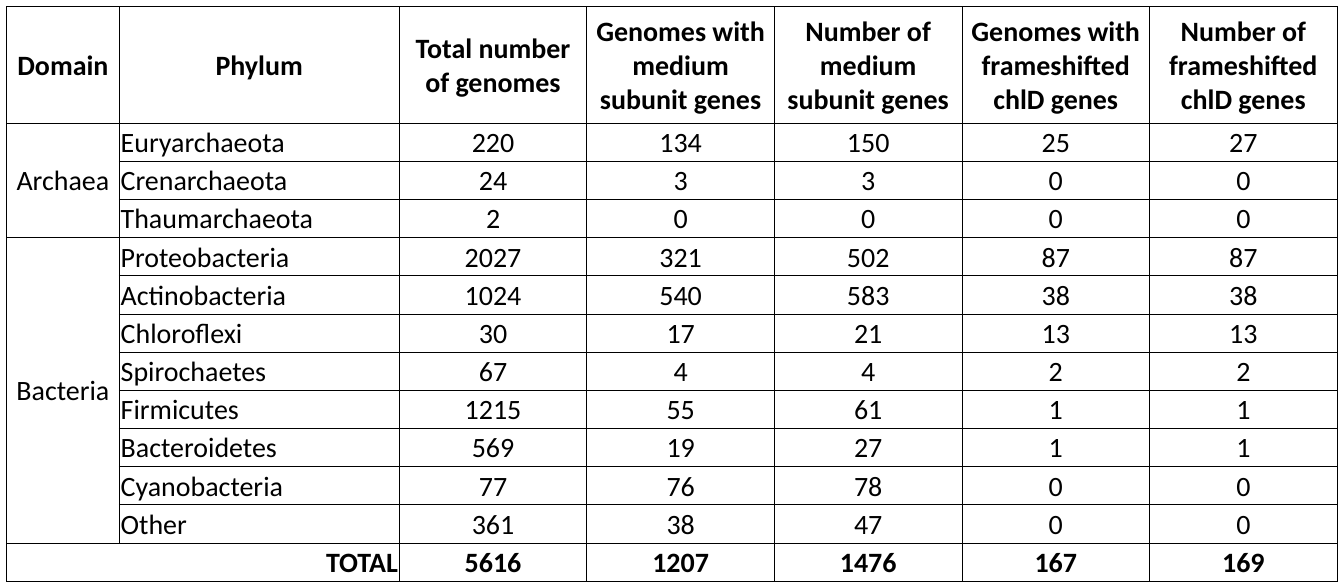
from lxml.etree import SubElement
from pptx import Presentation
from pptx.dml.color import RGBColor
from pptx.enum.text import MSO_ANCHOR, PP_ALIGN
from pptx.oxml.ns import qn
from pptx.util import Pt

BLACK = "000000"
HEADERS = [
    "Domain", "Phylum", "Total number of genomes",
    "Genomes with medium subunit genes", "Number of medium subunit genes",
    "Genomes with frameshifted chlD genes", "Number of frameshifted chlD genes",
]
DOMAINS = {
    "Archaea": [
        ("Euryarchaeota", 220, 134, 150, 25, 27),
        ("Crenarchaeota", 24, 3, 3, 0, 0),
        ("Thaumarchaeota", 2, 0, 0, 0, 0),
    ],
    "Bacteria": [
        ("Proteobacteria", 2027, 321, 502, 87, 87),
        ("Actinobacteria", 1024, 540, 583, 38, 38),
        ("Chloroflexi", 30, 17, 21, 13, 13),
        ("Spirochaetes", 67, 4, 4, 2, 2),
        ("Firmicutes", 1215, 55, 61, 1, 1),
        ("Bacteroidetes", 569, 19, 27, 1, 1),
        ("Cyanobacteria", 77, 76, 78, 0, 0),
        ("Other", 361, 38, 47, 0, 0),
    ],
}
TOTALS = ["TOTAL", "", 5616, 1207, 1476, 167, 169]
COLUMN_WIDTHS = [48.3, 120] + [80.4] * 5
ROW_HEIGHTS = [50] + [16.38] * 12


def color(hex_string):
    return RGBColor.from_string(hex_string)


def add_borders(cell, hex_string, width):
    properties = cell._tc.get_or_add_tcPr()
    for side in ("a:lnL", "a:lnR", "a:lnT", "a:lnB"):
        line = SubElement(properties, qn(side), w=str(Pt(width)))
        fill = SubElement(line, qn("a:solidFill"))
        SubElement(fill, qn("a:srgbClr"), val=hex_string)


presentation = Presentation()
presentation.slide_width, presentation.slide_height = Pt(576), Pt(252)
slide = presentation.slides.add_slide(presentation.slide_layouts[6])

# Rows of the table, with each domain named once
rows = [HEADERS]
for domain, phyla in DOMAINS.items():
    for index, phylum in enumerate(phyla):
        rows.append(["" if index else domain, *phylum])
rows.append(TOTALS)
last_row = len(rows) - 1

# Table grid
table = slide.shapes.add_table(
    len(rows), len(HEADERS), Pt(2.85), Pt(2.85),
    Pt(sum(COLUMN_WIDTHS)), Pt(sum(ROW_HEIGHTS)),
).table
table.horz_banding = False
for column, width in zip(table.columns, COLUMN_WIDTHS):
    column.width = Pt(width)
for row, height in zip(table.rows, ROW_HEIGHTS):
    row.height = Pt(height)

# Cell text and style
for row_index, row in enumerate(rows):
    for column_index, value in enumerate(row):
        cell = table.cell(row_index, column_index)
        cell.text = str(value)
        cell.margin_left = cell.margin_right = cell.margin_top = Pt(0.6)
        cell.margin_bottom = 0
        cell.vertical_anchor = MSO_ANCHOR.MIDDLE
        add_borders(cell, BLACK, 0.5)
        cell.fill.background()

        paragraph = cell.text_frame.paragraphs[0]
        paragraph.alignment = PP_ALIGN.CENTER
        if column_index == 1 and row_index > 0:
            paragraph.alignment = PP_ALIGN.LEFT
        paragraph.font.name = "Calibri"
        paragraph.font.size = Pt(12)
        paragraph.font.bold = row_index in (0, last_row)
        paragraph.font.color.rgb = color(BLACK)

# Merged domain cells and total label
first_row = 1
for phyla in DOMAINS.values():
    end_row = first_row + len(phyla) - 1
    table.cell(first_row, 0).merge(table.cell(end_row, 0))
    first_row = end_row + 1
total_label = table.cell(last_row, 0)
total_label.merge(table.cell(last_row, 1))
total_label.text_frame.paragraphs[0].alignment = PP_ALIGN.RIGHT

presentation.save("out.pptx")
